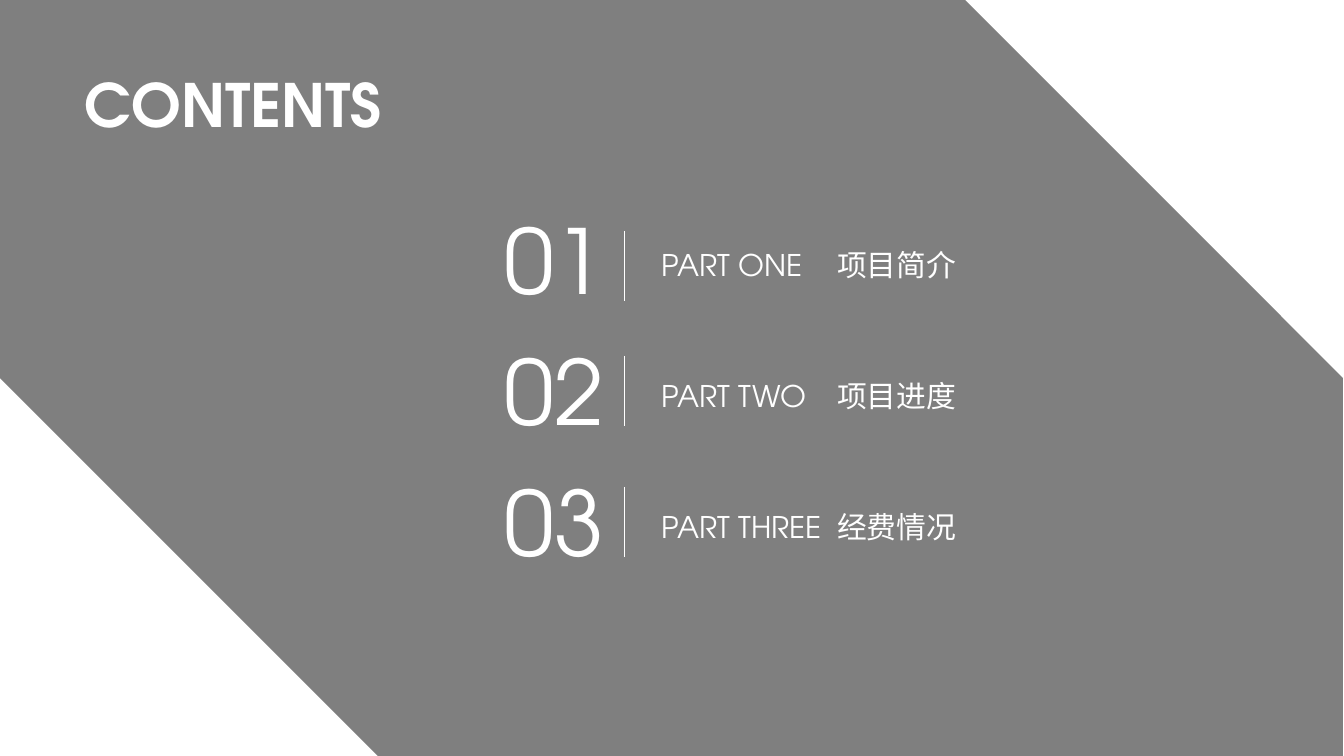
from lxml.etree import SubElement
from pptx import Presentation
from pptx.dml.color import RGBColor
from pptx.enum.shapes import MSO_CONNECTOR, MSO_SHAPE
from pptx.enum.text import MSO_AUTO_SIZE
from pptx.oxml.ns import qn
from pptx.util import Inches, Pt

WHITE = RGBColor(0xFF, 0xFF, 0xFF)
BLACK = RGBColor(0x00, 0x00, 0x00)
FONT = "TeX Gyre Adventor"
ROW_STEP = 1.3
# number, English label, Chinese title, top of the divider
PARTS = [
    ("01", "PART ONE", "项目简介", 2.29),
    ("02", "PART TWO", "项目进度", 3.53),
    ("03", "PART THREE", "经费情况", 4.83),
]

deck = Presentation()
deck.slide_width = Inches(13.34)
deck.slide_height = Inches(7.5)
page = deck.slides.add_slide(deck.slide_layouts[6])


def add_text(text, left, top, width, height, size, wrap=False, bold=False, spacing=None):
    """Add a white text box that grows with its text."""
    box = page.shapes.add_textbox(Inches(left), Inches(top), Inches(width), Inches(height))
    frame = box.text_frame
    frame.text = text
    frame.word_wrap = wrap
    frame.auto_size = MSO_AUTO_SIZE.SHAPE_TO_FIT_TEXT
    para = frame.paragraphs[0]
    para.line_spacing = spacing
    span = para.runs[0]
    span.font.name = FONT
    span.font.size = Pt(size)
    span.font.bold = bold
    span.font.color.rgb = WHITE
    # Chinese text takes its font from the East Asian slot
    SubElement(span.font._element, qn("a:ea")).set("typeface", FONT)


# Half-transparent panel with two cut corners
panel = page.shapes.add_shape(
    MSO_SHAPE.SNIP_2_DIAG_RECTANGLE, 0, 0, Inches(13.33), Inches(7.5))
panel.adjustments[0] = 0
panel.adjustments[1] = 0.5
panel.shadow.inherit = False
panel.line.fill.background()
panel.fill.solid()
panel.fill.fore_color.rgb = BLACK
panel_color = panel._element.spPr.find(qn("a:solidFill")).find(qn("a:srgbClr"))
SubElement(panel_color, qn("a:alpha")).set("val", "50000")

add_text("CONTENTS", 0.74, 0.62, 3.18, 0.82, 42.7, bold=True)

for row, (number, label, title, divider_top) in enumerate(PARTS):
    shift = row * ROW_STEP
    add_text(number, 4.91, 1.98 + shift, 1.2, 1.18, 64)
    add_text(label, 6.47, 2.29 + shift, 2.12, 0.57, 21.3, wrap=True, spacing=1.3)
    add_text(title, 8.21, 2.29 + shift, 1.4, 0.52, 21.3, spacing=1.3)
    divider = page.shapes.add_connector(
        MSO_CONNECTOR.STRAIGHT, Inches(6.2), Inches(divider_top),
        Inches(6.2), Inches(divider_top + 0.7))
    divider.line.color.rgb = WHITE
    divider.line.width = Pt(1)
    SubElement(divider._element.spPr, qn("a:effectLst"))

deck.save("out.pptx")
